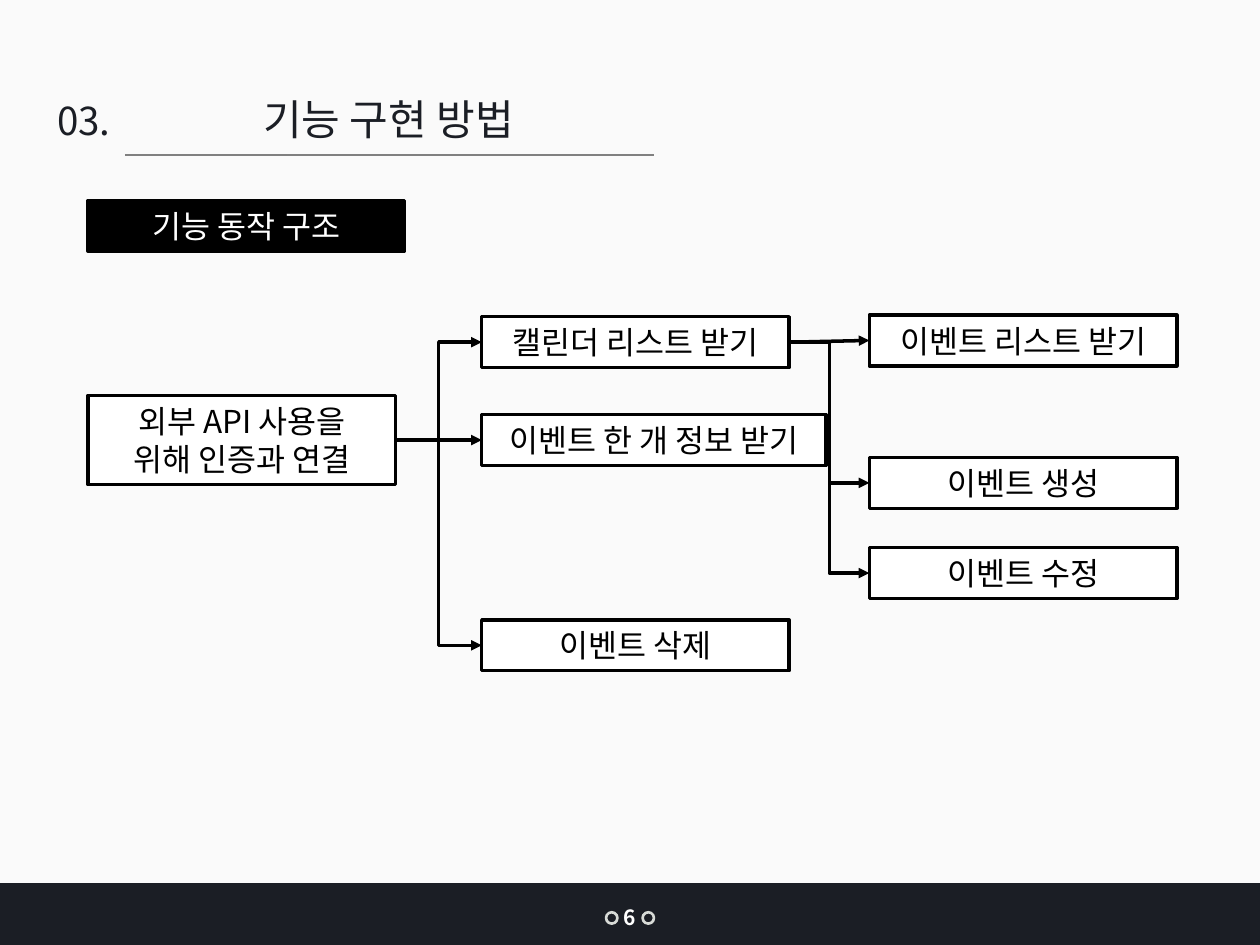
from dataclasses import dataclass
from lxml import etree
from pptx import Presentation
from pptx.dml.color import RGBColor as RGB
from pptx.enum.shapes import MSO_CONNECTOR as LINK, MSO_SHAPE as SHAPE
from pptx.enum.text import MSO_ANCHOR as ANCHOR, MSO_AUTO_SIZE as FIT, PP_ALIGN as ALIGN
from pptx.oxml.ns import qn
from pptx.util import Pt


@dataclass(frozen=True)
class Theme:
    font: str = "Noto Sans CJK KR"
    paper: str = "FAFAFA"
    navy: str = "1B1E25"
    black: str = "000000"
    white: str = "FFFFFF"
    rule: str = "808080"
    ring: str = "D8DBD7"
    title: int = 24
    number: int = 22
    body: int = 18
    page: int = 12


T = Theme()


def write(frame, text, size, color, bold=False, wrap=True):
    """Fill a text frame; a newline becomes a line break."""
    frame.word_wrap = wrap
    frame.auto_size = FIT.NONE
    frame.vertical_anchor = ANCHOR.MIDDLE
    para = frame.paragraphs[0]
    para.alignment = ALIGN.CENTER
    for i, line in enumerate(text.split("\n")):
        if i:
            para.add_line_break()
        run = para.add_run()
        run.text = line
        font = run.font
        font.name, font.size, font.bold = T.font, Pt(size), bold
        font.color.rgb = RGB.from_string(color)
        east = etree.SubElement(run._r.get_or_add_rPr(), qn("a:ea"))
        east.set("typeface", T.font)


def block(slide, box, fill, line=None, width=2, kind=SHAPE.RECTANGLE):
    shape = slide.shapes.add_shape(kind, *map(Pt, box))
    shape.shadow.inherit = False
    shape.fill.solid()
    shape.fill.fore_color.rgb = RGB.from_string(fill)
    if line:
        shape.line.color.rgb = RGB.from_string(line)
        shape.line.width = Pt(width)
    else:
        shape.line.fill.background()
    return shape


def label(slide, box, text, size, color, **style):
    area = slide.shapes.add_textbox(*map(Pt, box))
    write(area.text_frame, text, size, color, **style)


def wire(slide, kind, ends, color, width):
    line = slide.shapes.add_connector(kind, *map(Pt, ends))
    line.line.color.rgb = RGB.from_string(color)
    line.line.width = Pt(width)
    etree.SubElement(line._element.spPr, qn("a:effectLst"))
    return line


def arrow(slide, start, end, kind):
    """Join the right side of one box to the left side of another."""
    line = wire(slide, kind, (0, 0, 0, 0), T.black, 2)
    line.begin_connect(start, 3)
    line.end_connect(end, 1)
    tail = etree.SubElement(line.line._get_or_add_ln(), qn("a:tailEnd"))
    tail.set("type", "triangle")


def header(slide, x, y):
    """Section number, title and rule."""
    title = slide.shapes.title
    title.left, title.top, title.width, title.height = map(Pt, (x + 28.8, y, 343.4, 36))
    write(title.text_frame, "기능 구현 방법", T.title, T.navy)
    label(slide, (x, y + 2, 57.6, 34), "03. ", T.number, T.navy)
    wire(slide, LINK.STRAIGHT, (x + 49.7, y + 38.9, x + 352, y + 38.9), T.rule, 0.75)


def node(slide, box, text, fill=T.white, color=T.black):
    shape = block(slide, box, fill, T.black)
    write(shape.text_frame, text, T.body, color)
    return shape


def chart(slide, x, y):
    """Flow of calls: one root, a middle column, a right column."""
    wide, tall = 175.7, 29.1
    mid, right = x + 224.9, x + 446.4
    root = node(slide, (x, y + 45.9, wide, 51.1), "외부 API 사용을\n위해 인증과 연결")
    steps = [node(slide, (mid, y + top, w, tall), text) for top, w, text in (
        (1, wide, "캘린더 리스트 받기"),
        (56.9, 196.6, "이벤트 한 개 정보 받기"),
        (174.2, wide, "이벤트 삭제"))]
    events = [node(slide, (right, y + top, wide, tall), text) for top, text in (
        (0, "이벤트 리스트 받기"),
        (81.4, "이벤트 생성"),
        (132.9, "이벤트 수정"))]
    bent, flat = LINK.ELBOW, LINK.STRAIGHT
    for step, kind in zip(steps, (bent, flat, bent)):
        arrow(slide, root, step, kind)
    for event, kind in zip(events, (flat, bent, bent)):
        arrow(slide, steps[0], event, kind)


def footer(slide, x, y, w, h):
    """Dark band with the page number between two rings."""
    block(slide, (x, y, w, h), T.navy)
    for gap in (-13.7, 7.2):
        block(slide, (x + w / 2 + gap, y + 16.6, 6.5, 6.5), T.navy, T.ring, 1.5, SHAPE.OVAL)
    label(slide, (x + w / 2 - 10.8, y + 8.6, 21.6, 21.6), "6", T.page, T.white,
          bold=True, wrap=False)


def main():
    deck = Presentation()
    deck.slide_width, deck.slide_height = Pt(720), Pt(540)
    slide = deck.slides.add_slide(deck.slide_layouts[5])
    back = slide.background.fill
    back.solid()
    back.fore_color.rgb = RGB.from_string(T.paper)
    footer(slide, 0, 504.7, 720, 35.3)
    header(slide, 21.6, 49.7)
    node(slide, (50.4, 114.5, 180.7, 29.1), "기능 동작 구조", T.black, T.white)
    chart(slide, 50.4, 180)
    deck.save("out.pptx")


main()
